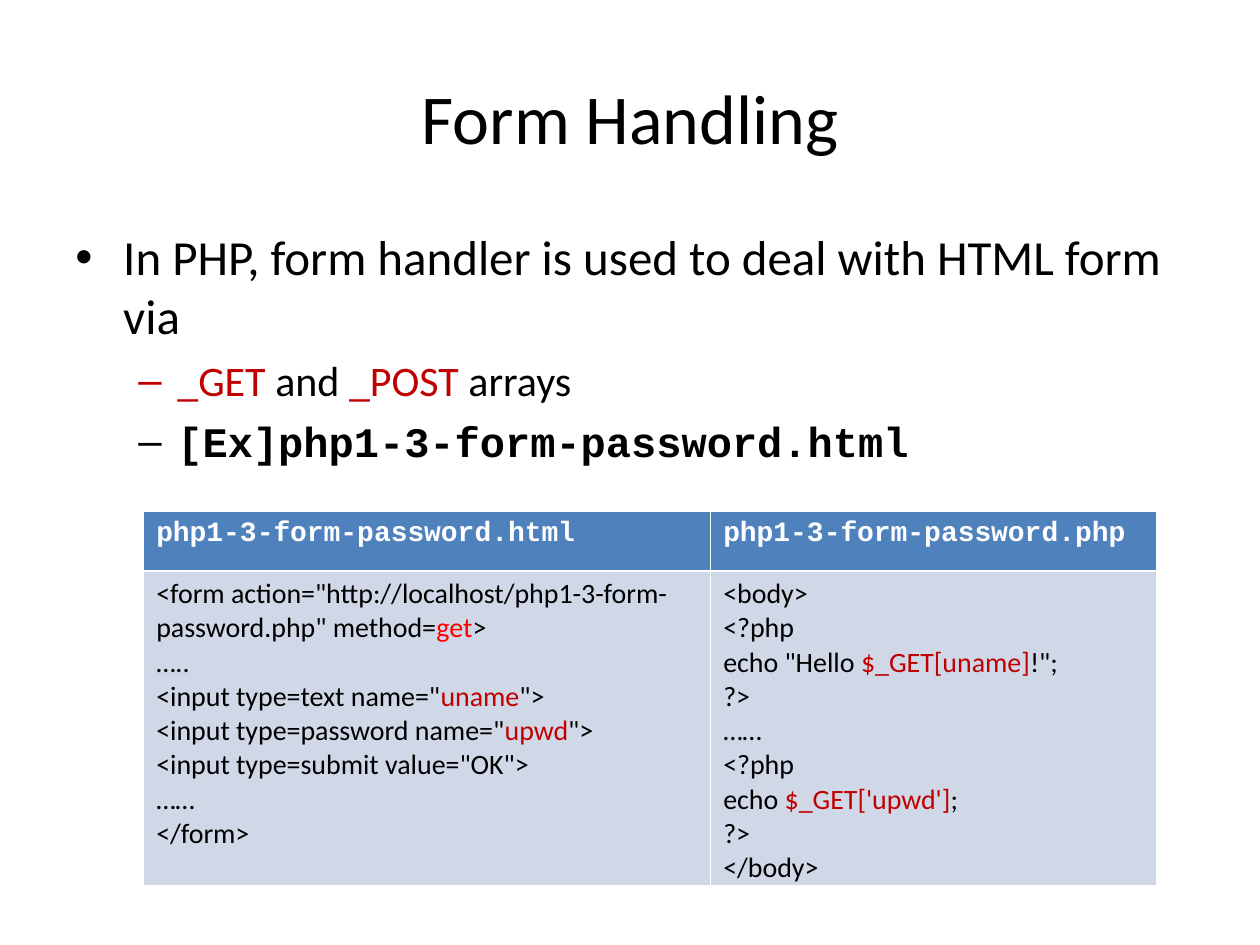
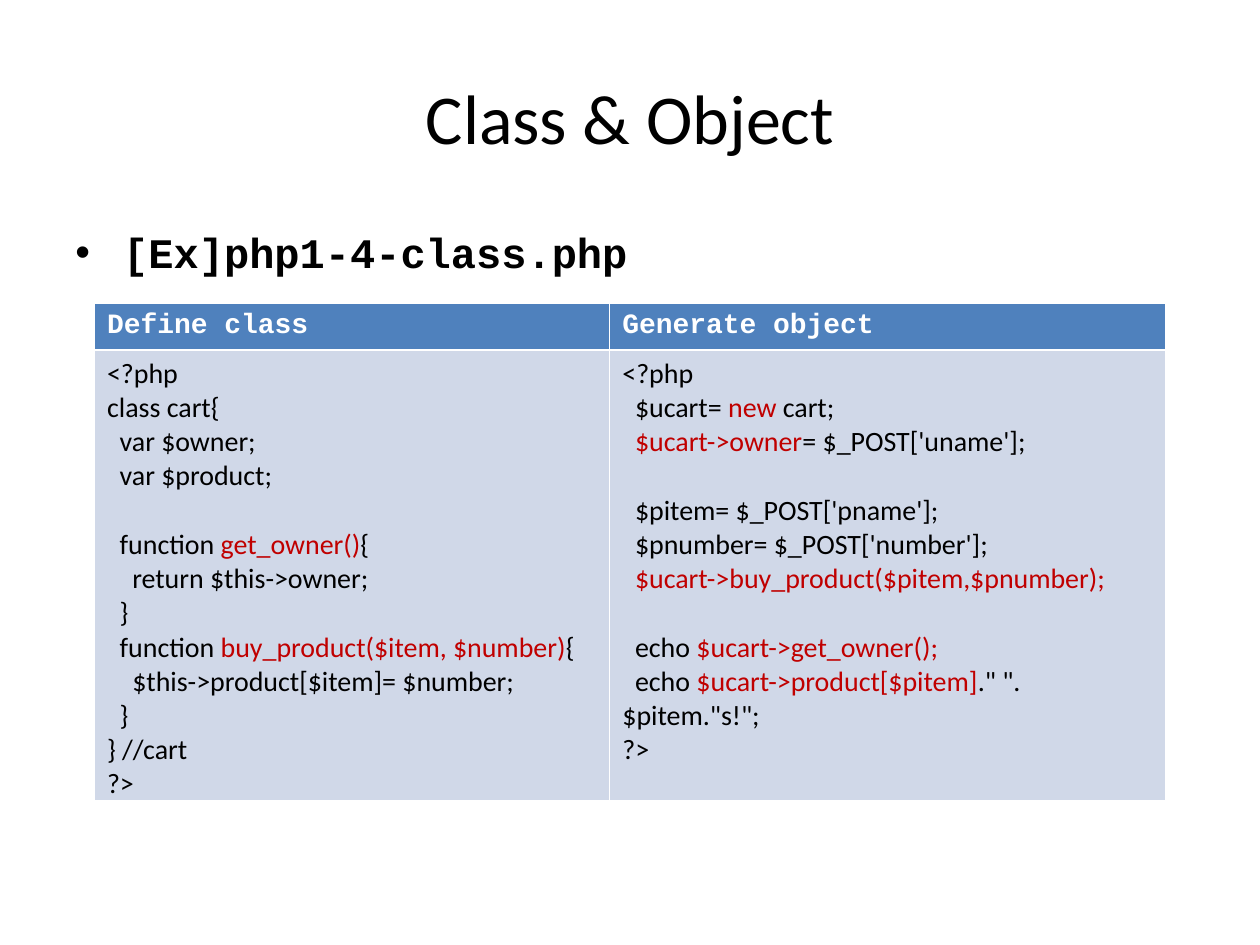
from lxml import etree
from pptx import Presentation
from pptx import util as u
from pptx.dml.color import RGBColor
from pptx.enum import text
from pptx.oxml.ns import qn

THEME = {
    "sans": "Calibri", "mono": "Courier New", "bullet_font": "Arial",
    "ink": "000000", "emphasis": "C00000", "alert": "FF0000", "paper": "FFFFFF",
    "header_fill": "4F81BD", "body_fill": "D0D8E8",
    "title_size": 40, "point_size": 28, "subpoint_size": 24, "code_size": 16,
    "thin_line": 0.45, "thick_line": 1.47,
}
SLIDE_WIDTH, SLIDE_HEIGHT = 10, 7.5
MARGIN = 0.05 * SLIDE_WIDTH
TITLE_BOX = (MARGIN, 0.04 * SLIDE_HEIGHT, SLIDE_WIDTH - 2 * MARGIN, SLIDE_HEIGHT / 6)
POINTS_BOX = (MARGIN, 1.75, SLIDE_WIDTH - 2 * MARGIN, 0.66 * SLIDE_HEIGHT)
# Outline levels: bullet, left indent, hanging indent (inches)
LEVELS = [("•", 0.38, 0.38), ("–", 0.81, 0.31)]


def hot(words, colour="emphasis"):
    return words, colour


# A line is a string or a list of runs; a run is a string or hot(...).
SLIDES = [
    {
        "title": "Form Handling",
        "points": [
            {"line": "In PHP, form handler is used to deal with HTML form via",
             "level": 0, "size": "point_size"},
            {"line": [hot("_GET "), "and ", hot("_POST "), "arrays"],
             "level": 1, "bullet_colour": "emphasis"},
            {"line": "[Ex]php1-3-form-password.html", "level": 1, "mono": True},
        ],
        "table": {
            "corner": (1.14, 4.06), "columns": (4.5, 3.54), "rows": (0.47, 2.5),
            "code": {
                "php1-3-form-password.html": [
                    ['<form action="http://localhost/php1-3-form-password.php" method=',
                     hot("get", "alert"), ">"],
                    "…..",
                    ['<input type=text name="', hot("uname"), '">'],
                    ['<input type=password name="', hot("upwd"), '">'],
                    '<input type=submit value="OK">',
                    "……",
                    "</form>",
                ],
                "php1-3-form-password.php": [
                    "<body>",
                    "<?php",
                    ['echo "Hello ', hot("$_GET[uname]"), '!";'],
                    "?>",
                    "……",
                    "<?php",
                    ["echo ", hot("$_GET['upwd']"), ";"],
                    "?>",
                    "</body>",
                ],
            },
        },
    },
    {
        "title": "Class & Object",
        "points": [{"line": "[Ex]php1-4-class.php", "level": 0, "mono": True}],
        "table": {
            "corner": (0.75, 2.41), "columns": (4.09, 4.41), "rows": (0.37, 3.57),
            "code": {
                "Define class": [
                    "<?php",
                    "class cart{",
                    "  var $owner;",
                    "  var $product;",
                    "",
                    ["  function ", hot("get_owner()"), "{"],
                    "    return $this->owner;",
                    "  }",
                    ["  function ", hot("buy_product($item, $number)"), "{"],
                    "    $this->product[$item]= $number;",
                    "  }",
                    "} //cart",
                    "?>",
                ],
                "Generate object": [
                    "<?php",
                    ["  $ucart= ", hot("new"), " cart;"],
                    ["  ", hot("$ucart->owner"), "= $_POST['uname'];"],
                    "",
                    "  $pitem= $_POST['pname'];",
                    "  $pnumber= $_POST['number'];",
                    [hot("  $ucart->buy_product($pitem,$pnumber);")],
                    "",
                    ["  echo ", hot("$ucart->get_owner();")],
                    ["  echo ", hot("$ucart->product[$pitem]"), '." ".$pitem."s!";'],
                    "?>",
                ],
            },
        },
    },
]


def inches(values):
    return [u.Inches(value) for value in values]


def rgb(name):
    return RGBColor.from_string(THEME[name])


def add_child(parent, tag, **attributes):
    return etree.SubElement(parent, qn(tag), attributes)


def write_line(paragraph, line, size, colour="ink", mono=False):
    runs = [line] if isinstance(line, str) else line
    font_format = {"name": THEME["mono" if mono else "sans"],
                   "size": u.Pt(THEME[size]), "bold": mono}
    for item in filter(None, runs):
        words, run_colour = (item, colour) if isinstance(item, str) else item
        run = paragraph.add_run()
        run.text = words
        for name, value in font_format.items():
            setattr(run.font, name, value)
        run.font.color.rgb = rgb(run_colour)
    if not paragraph.runs:
        add_child(paragraph._p, "a:endParaRPr", sz=str(THEME[size] * 100))


def paragraphs_for(frame, items):
    """Yield a paragraph for each item, starting with the frame's own first one."""
    for index, item in enumerate(items):
        yield (frame.add_paragraph() if index else frame.paragraphs[0]), item


def add_bullet(paragraph, level, colour):
    symbol, left, hanging = LEVELS[level]
    paragraph.level = level
    properties = paragraph._p.get_or_add_pPr()
    properties.set("marL", str(u.Inches(left)))
    properties.set("indent", str(-u.Inches(hanging)))
    add_child(add_child(properties, "a:buClr"), "a:srgbClr", val=THEME[colour])
    add_child(properties, "a:buFont", typeface=THEME["bullet_font"])
    add_child(properties, "a:buChar", char=symbol)


def fill_title(slide, title):
    shape = slide.shapes.title
    shape.left, shape.top, shape.width, shape.height = inches(TITLE_BOX)
    shape.text_frame.vertical_anchor = text.MSO_ANCHOR.MIDDLE
    paragraph = shape.text_frame.paragraphs[0]
    paragraph.alignment = text.PP_ALIGN.CENTER
    write_line(paragraph, title, "title_size")


def add_points(slide, points):
    frame = slide.shapes.add_textbox(*inches(POINTS_BOX)).text_frame
    frame.word_wrap = True
    for paragraph, point in paragraphs_for(frame, points):
        add_bullet(paragraph, point["level"], point.get("bullet_colour", "ink"))
        paragraph.space_before = u.Pt(0 if point is points[0] else 6)
        write_line(paragraph, point["line"], point.get("size", "subpoint_size"),
                   mono=point.get("mono", False))


def style_cell(cell, fill, thick_side):
    properties = cell._tc.get_or_add_tcPr()
    for side in "LRTB":
        width = THEME["thick_line" if side == thick_side else "thin_line"]
        border = add_child(properties, f"a:ln{side}", w=str(u.Pt(width)))
        add_child(add_child(border, "a:solidFill"), "a:srgbClr", val=THEME["paper"])
    cell.fill.solid()
    cell.fill.fore_color.rgb = rgb(fill)


def add_code_table(slide, corner, columns, rows, code):
    size = sum(columns), sum(rows)
    table = slide.shapes.add_table(len(rows), len(columns), *inches(corner + size)).table
    for row, height in zip(table.rows, inches(rows)):
        row.height = height
    for index, (heading, lines) in enumerate(code.items()):
        table.columns[index].width = u.Inches(columns[index])
        header, body = table.cell(0, index), table.cell(1, index)
        style_cell(header, "header_fill", thick_side="B")
        style_cell(body, "body_fill", thick_side="T")
        write_line(header.text_frame.paragraphs[0], heading, "code_size", "paper", mono=True)
        for paragraph, line in paragraphs_for(body.text_frame, lines):
            write_line(paragraph, line, "code_size")


def main():
    presentation = Presentation()
    presentation.slide_width, presentation.slide_height = inches((SLIDE_WIDTH, SLIDE_HEIGHT))
    title_only = presentation.slide_layouts.get_by_name("Title Only")
    for content in SLIDES:
        slide = presentation.slides.add_slide(title_only)
        fill_title(slide, content["title"])
        add_points(slide, content["points"])
        add_code_table(slide, **content["table"])
    presentation.save("out.pptx")


if __name__ == "__main__":
    main()
